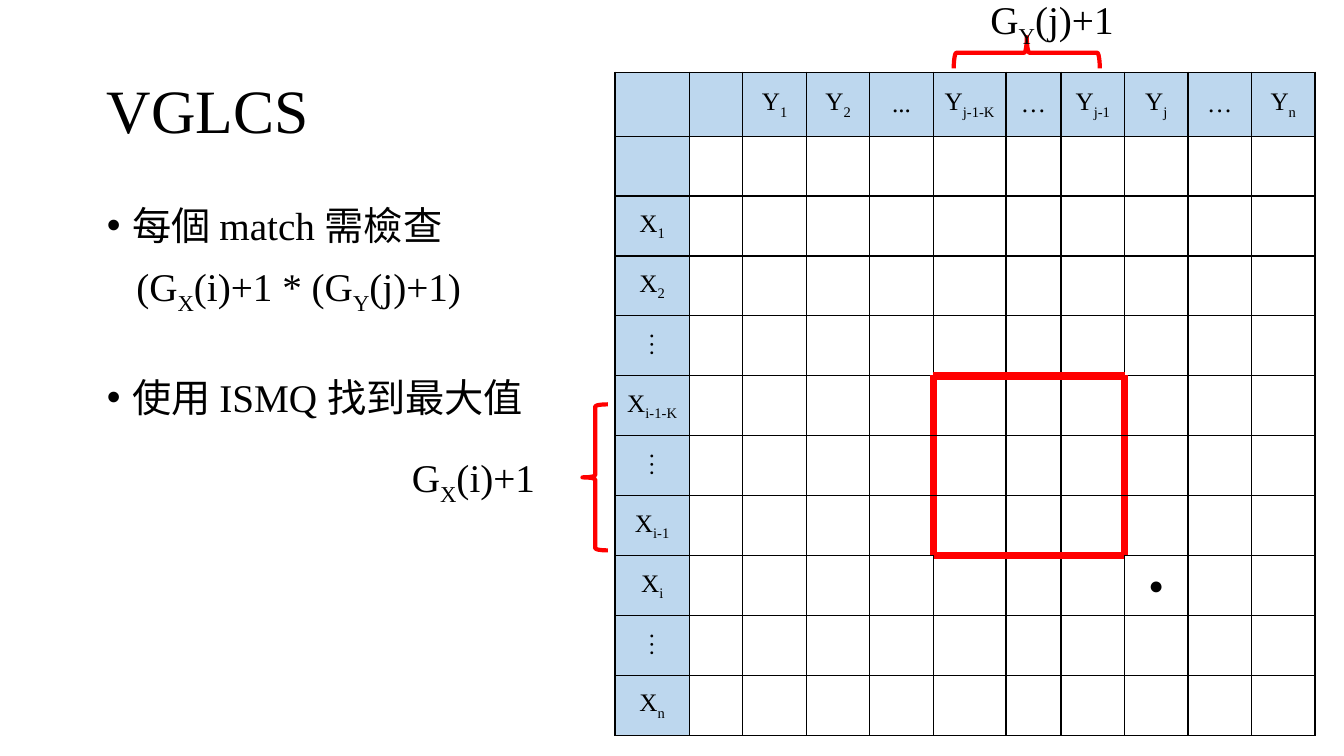
"""Builds the VGLCS slide: notes, a dynamic programming table and its range braces."""
from lxml import etree
from pptx import Presentation
from pptx.dml.color import RGBColor
from pptx.enum.shapes import MSO_SHAPE
from pptx.enum.text import MSO_ANCHOR, MSO_AUTO_SIZE, PP_ALIGN
from pptx.oxml.ns import qn
from pptx.util import Cm, Pt

LEFT, CENTER = PP_ALIGN.LEFT, PP_ALIGN.CENTER
TOP, MIDDLE = MSO_ANCHOR.TOP, MSO_ANCHOR.MIDDLE
NO_FIT, GROW = MSO_AUTO_SIZE.NONE, MSO_AUTO_SIZE.SHAPE_TO_FIT_TEXT
LEFT_BRACE = MSO_SHAPE.LEFT_BRACE

FONT = "Times New Roman"
COLORS = {"ink": "000000", "header": "BDD7EE", "cell": "FFFFFF", "range": "FF0000"}

# Text between bars is set as a subscript.
TITLE = "VGLCS"
NOTES = [
    {"text": "每個 match 需檢查", "bullet": True, "before": 0},
    {"text": "(G|X|(i)+1 * (G|Y|(j)+1)", "bullet": False, "before": 10},
    {"text": "使用 ISMQ 找到最大值", "bullet": True, "before": 48},
]
COLUMN_HEADS = ["", "", "Y|1", "Y|2", "...", "Y|j-1-K", "…", "Y|j-1", "Y|j", "…", "Y|n"]
ROW_HEADS = ["", "", "X|1", "X|2", "⋮", "X|i-1-K", "⋮", "X|i-1", "X|i", "⋮", "X|n"]
MATCH = (ROW_HEADS.index("X|i"), COLUMN_HEADS.index("Y|j"))
RANGE_ROWS = range(ROW_HEADS.index("X|i-1-K"), MATCH[0])
RANGE_COLUMNS = range(COLUMN_HEADS.index("Y|j-1-K"), MATCH[1])

COLUMN_WIDTHS = [1.87, 1.35] + [1.6] * 3 + [1.83, 1.39] + [1.6] * 4
ROW_HEIGHTS = [1.61] + [1.51] * 10
EDGES = {"lnL": (0, -1), "lnR": (0, 1), "lnT": (-1, 0), "lnB": (1, 0)}

BRACES = [(25.48, -0.51, 0.79, 3.68, 90), (14.68, 10.19, 0.64, 3.68, 0)]
RANGE_LABELS = [("G|X|(i)+1", 10.13, 11.3, 3.96), ("G|Y|(j)+1", 24.71, -0.25, 3.71)]


def write(paragraph, text, size=28, align=LEFT, line_spacing=None, before=0):
    """Fill a paragraph, lowering every second part of the text."""
    paragraph.alignment = align
    paragraph.space_before = Pt(before)
    if line_spacing:
        paragraph.line_spacing = line_spacing
    for position, part in enumerate(text.split("|")):
        run = paragraph.add_run()
        run.text = part
        run.font.name = FONT
        run.font.size = Pt(size)
        run.font.color.rgb = RGBColor.from_string(COLORS["ink"])
        if position % 2:
            run._r.get_or_add_rPr().set("baseline", "-25000")


def place(shape, left, top, width, height):
    """Move and size a shape in centimetres."""
    shape.left, shape.top = Cm(left), Cm(top)
    shape.width, shape.height = Cm(width), Cm(height)


def in_range(row, column):
    """Tell whether a cell lies in the checked range."""
    return row in RANGE_ROWS and column in RANGE_COLUMNS


def add_borders(cell, row, column):
    """Draw red edges where the checked range ends, black ones elsewhere."""
    properties = cell._tc.get_or_add_tcPr()
    for edge, (down, right) in EDGES.items():
        ends = in_range(row, column) != in_range(row + down, column + right)
        color, width = ("range", 6) if ends else ("ink", 1)
        line = etree.SubElement(properties, qn(f"a:{edge}"), w=str(Pt(width)))
        fill = etree.SubElement(line, qn("a:solidFill"))
        etree.SubElement(fill, qn("a:srgbClr"), val=COLORS[color])


def add_notes(slide):
    """Fill the title and the list."""
    title, body = slide.shapes.title, slide.placeholders[1]
    place(title, 2.44, 1.02, 29.21, 3.68)
    place(body, 2.44, 5.08, 29.21, 12.09)
    for holder, anchor in ((title, MIDDLE), (body, TOP)):
        holder.text_frame.auto_size = NO_FIT
        holder.text_frame.vertical_anchor = anchor
    write(title.text_frame.paragraphs[0], TITLE, size=44, line_spacing=0.9)
    for position, note in enumerate(NOTES):
        frame = body.text_frame
        paragraph = frame.add_paragraph() if position else frame.paragraphs[0]
        properties = paragraph._p.get_or_add_pPr()
        margin, indent = (0.64, -0.64) if note["bullet"] else (0.74, 0)
        properties.set("marL", str(Cm(margin)))
        properties.set("indent", str(Cm(indent)))
        if not note["bullet"]:
            etree.SubElement(properties, qn("a:buNone"))
        write(paragraph, note["text"], line_spacing=0.9, before=note["before"])


def add_grid(slide):
    """Add the table with its headings, match dot and checked range."""
    grid = slide.shapes.add_table(
        len(ROW_HEADS), len(COLUMN_HEADS), Cm(15.5), Cm(1.82),
        Cm(sum(COLUMN_WIDTHS)), Cm(sum(ROW_HEIGHTS))).table
    grid.first_row = grid.horz_banding = False
    for column, width in zip(grid.columns, COLUMN_WIDTHS):
        column.width = Cm(width)
    for row, height in zip(grid.rows, ROW_HEIGHTS):
        row.height = Cm(height)
    labels = {(0, column): head for column, head in enumerate(COLUMN_HEADS)}
    labels.update({(row, 0): head for row, head in enumerate(ROW_HEADS)})
    labels[MATCH] = "●"
    for row in range(len(ROW_HEADS)):
        for column in range(len(COLUMN_HEADS)):
            cell = grid.cell(row, column)
            add_borders(cell, row, column)
            cell.fill.solid()
            color = COLORS["cell" if row and column else "header"]
            cell.fill.fore_color.rgb = RGBColor.from_string(color)
            cell.vertical_anchor = MIDDLE
            cell.margin_left = cell.margin_right = Cm(0.23)
            cell.margin_top = cell.margin_bottom = Cm(0.11)
            if labels.get((row, column)):
                write(cell.text_frame.paragraphs[0], labels[row, column], size=18, align=CENTER)


def add_ranges(slide):
    """Add the red braces and their labels."""
    for left, top, width, height, rotation in BRACES:
        brace = slide.shapes.add_shape(LEFT_BRACE, Cm(left), Cm(top), Cm(width), Cm(height))
        brace.rotation = rotation
        brace.shadow.inherit = False
        brace.fill.background()
        brace.line.color.rgb = RGBColor.from_string(COLORS["range"])
        brace.line.width = Pt(3)
    for text, left, top, width in RANGE_LABELS:
        label = slide.shapes.add_textbox(Cm(left), Cm(top), Cm(width), Cm(1.45))
        label.text_frame.word_wrap = False
        label.text_frame.auto_size = GROW
        write(label.text_frame.paragraphs[0], text)


def main():
    """Build and save the slide."""
    deck = Presentation()
    deck.slide_width, deck.slide_height = Cm(33.87), Cm(19.05)
    slide = deck.slides.add_slide(deck.slide_layouts[1])
    add_notes(slide)
    add_grid(slide)
    add_ranges(slide)
    deck.save("out.pptx")


if __name__ == "__main__":
    main()
